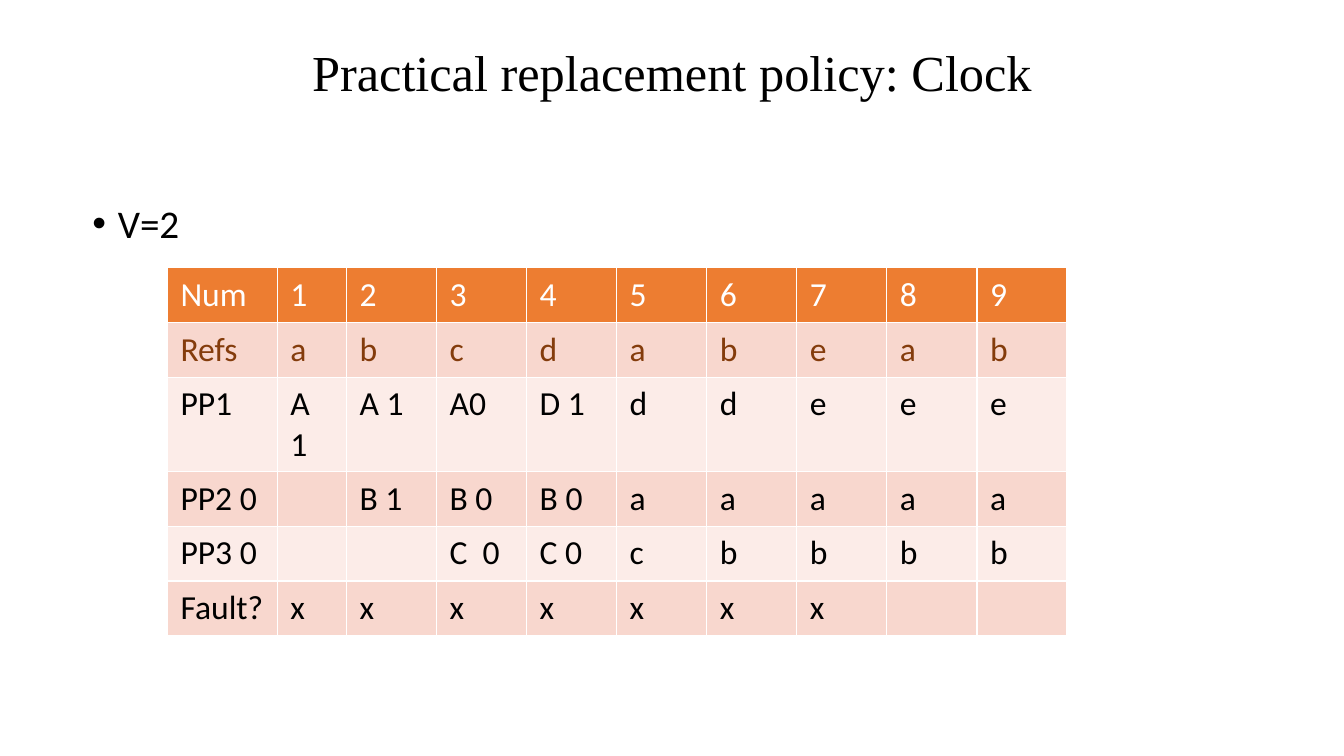
from lxml import etree
from pptx import Presentation
from pptx.dml.color import RGBColor
from pptx.enum.text import MSO_ANCHOR, PP_ALIGN
from pptx.oxml.ns import qn
from pptx.util import Cm, Pt

CENTER = PP_ALIGN.CENTER
TOP, MIDDLE = MSO_ANCHOR.TOP, MSO_ANCHOR.MIDDLE

BLACK = RGBColor(0x00, 0x00, 0x00)
WHITE = RGBColor(0xFF, 0xFF, 0xFF)
ORANGE = RGBColor(0xED, 0x7D, 0x31)
BROWN = RGBColor(0x84, 0x3C, 0x0C)
ROSE = RGBColor(0xF8, 0xD7, 0xCE)
PALE = RGBColor(0xFC, 0xEC, 0xE8)

CLOCK_ROWS = [
    ["Num", "1", "2", "3", "4", "5", "6", "7", "8", "9"],
    ["Refs", "a", "b", "c", "d", "a", "b", "e", "a", "b"],
    ["PP1", "A 1", "A 1", "A0", "D 1", "d", "d", "e", "e", "e"],
    ["PP2 0", "", "B 1", "B 0", "B 0", "a", "a", "a", "a", "a"],
    ["PP3 0", "", "", "C  0", "C 0", "c", "b", "b", "b", "b"],
    ["Fault?", "x", "x", "x", "x", "x", "x", "x", "", ""],
]
COL_WIDTHS = [2.77, 1.74] + [2.27] * 8
ROW_HEIGHT = 1.38


class SlideBuilder:
    """Hold the text style and the current slide."""

    def __init__(self, s, font="Calibri"):
        self.s = s
        self.font = font

    def style(self, p, size, color, font=None):
        p.font.name = font or self.font
        p.font.size = Pt(size)
        p.font.color.rgb = color

    def text(self, text, box, size, anchor=TOP, font=None):
        tf = self.s.shapes.add_textbox(*map(Cm, box)).text_frame
        tf.word_wrap = True
        tf.vertical_anchor = anchor
        p = tf.paragraphs[0]
        p.text = text
        p.line_spacing = 0.9
        self.style(p, size, BLACK, font)
        return p

    def title(self, text, box):
        p = self.text(text, box, 36, MIDDLE, "Times New Roman")
        p.alignment = CENTER

    def bullet(self, text, box):
        p = self.text(text, box, 28)
        p.space_before = Pt(10)
        pPr = p._p.get_or_add_pPr()
        pPr.set("marL", str(Cm(0.64)))
        pPr.set("indent", str(-Cm(0.64)))
        font = etree.Element(qn("a:buFont"), typeface="Arial")
        char = etree.Element(qn("a:buChar"), char="•")
        pPr.find(qn("a:spcBef")).addnext(font)
        font.addnext(char)

    def borders(self, cell):
        tcPr = cell._tc.get_or_add_tcPr()
        for i, side in enumerate(("lnL", "lnR", "lnT", "lnB")):
            ln = etree.Element(qn(f"a:{side}"), w=str(Pt(1)))
            fill = etree.SubElement(ln, qn("a:solidFill"))
            etree.SubElement(fill, qn("a:srgbClr"), val=str(WHITE))
            tcPr.insert(i, ln)

    def cell(self, cell, text, fill, color):
        cell.fill.solid()
        cell.fill.fore_color.rgb = fill
        cell.margin_left = cell.margin_right = Cm(0.33)
        cell.margin_top = cell.margin_bottom = Cm(0.17)
        p = cell.text_frame.paragraphs[0]
        p.text = text
        self.style(p, 24, color)
        self.borders(cell)

    def table(self, rows, widths, left, top):
        table = self.s.shapes.add_table(
            len(rows), len(widths), Cm(left), Cm(top),
            Cm(sum(widths)), Cm(ROW_HEIGHT * len(rows))).table
        for column, width in zip(table.columns, widths):
            column.width = Cm(width)
        for i, row in enumerate(rows):
            table.rows[i].height = Cm(ROW_HEIGHT)
            fill = ORANGE if i == 0 else ROSE if i % 2 else PALE
            color = {0: WHITE, 1: BROWN}.get(i, BLACK)
            for j, text in enumerate(row):
                self.cell(table.cell(i, j), text, fill, color)


def main():
    prs = Presentation()
    prs.slide_width, prs.slide_height = Cm(33.87), Cm(19.05)
    builder = SlideBuilder(prs.slides.add_slide(prs.slide_layouts[6]))
    builder.title("Practical replacement policy: Clock", (2.34, 0.61, 29.21, 2.59))
    builder.bullet("V=2", (2.08, 5.03, 29.21, 12.09))
    builder.table(CLOCK_ROWS, COL_WIDTHS, 4.22, 6.75)
    prs.save("out.pptx")


if __name__ == "__main__":
    main()
